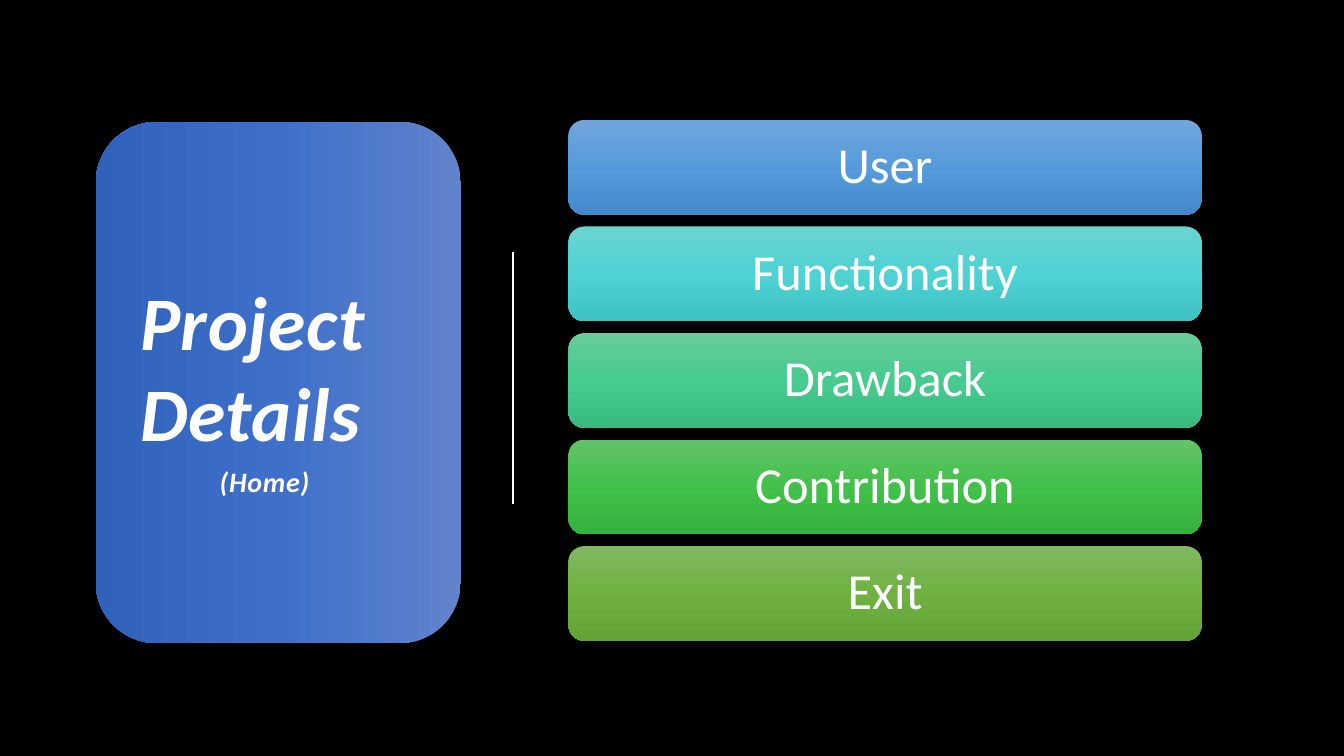
from dataclasses import dataclass

from lxml import etree
from pptx import Presentation
from pptx import util as u
from pptx.dml.color import RGBColor
from pptx.enum import shapes, text
from pptx.oxml.ns import qn


@dataclass(frozen=True)
class Theme:
    """Colours, font and type sizes of the slide."""
    font: str = "Calibri"
    background: str = "000000"
    ink: str = "FFFFFF"
    title_size: int = 54
    bar_size: int = 36
    caption_size: int = 20
    panel: tuple = ("6183CB", "3E70CA", "3062BB")
    bars: tuple = (
        ("71A6DB", "559BDB", "448ACA"),
        ("6CD3D3", "4ED2D3", "3EC2C3"),
        ("67CC9A", "47CB8E", "39BB7F"),
        ("63C368", "42C14A", "34B23D"),
        ("81B861", "6FB242", "62A336"),
    )


class Board:
    """Draws on one slide, with lengths as percentages of its size."""

    def __init__(self, deck, theme):
        """Add a title-only slide with a plain background."""
        self.deck, self.theme = deck, theme
        self.page = deck.slides.add_slide(deck.slide_layouts[5])
        fill = self.page.background.fill
        fill.solid()
        fill.fore_color.rgb = RGBColor.from_string(theme.background)

    def place(self, left, top, width, height):
        """Turn percentages into slide lengths."""
        across, down = self.deck.slide_width, self.deck.slide_height
        shares = ((left, across), (top, down), (width, across), (height, down))
        return [round(share * full / 100) for share, full in shares]

    def label(self, box, words, size, align, anchor, line_spacing=1.0, **look):
        """Put one formatted paragraph into a box and return its run."""
        frame = box.text_frame
        settings = {"word_wrap": True, "auto_size": text.MSO_AUTO_SIZE.NONE,
                    "vertical_anchor": anchor}
        for name, value in settings.items():
            setattr(frame, name, value)
        para = frame.paragraphs[0]
        para.alignment, para.line_spacing = align, line_spacing
        span = para.add_run()
        span.text = words
        look = {"name": self.theme.font, "size": u.Pt(size), **look}
        for name, value in look.items():
            setattr(span.font, name, value)
        span.font.color.rgb = RGBColor.from_string(self.theme.ink)
        return span

    def block(self, area, colours, angle):
        """Draw a rounded block with a gradient of evenly spaced colours."""
        box = self.page.shapes.add_shape(
            shapes.MSO_SHAPE.ROUNDED_RECTANGLE, *self.place(*area))
        box.shadow.inherit = False
        box.line.fill.background()
        box.fill.gradient()
        box.fill.gradient_angle = angle
        stops = box.element.spPr.find(qn("a:gradFill")).find(qn("a:gsLst"))
        for stop in list(stops):
            stops.remove(stop)
        for index, colour in enumerate(colours):
            position = index * 100000 // (len(colours) - 1)
            stop = etree.SubElement(stops, qn("a:gs"), pos=str(position))
            etree.SubElement(stop, qn("a:srgbClr"), val=colour)
        return box

    def bar(self, area, words, colours):
        """Draw a menu bar with its centred label."""
        box = self.block(area, colours, 270)
        self.label(box, words, self.theme.bar_size, text.PP_ALIGN.CENTER,
                   text.MSO_ANCHOR.MIDDLE, line_spacing=0.9)

    def heading(self, box, words, size):
        """Put a bold italic, slightly spaced heading into a box."""
        span = self.label(box, words, size, text.PP_ALIGN.LEFT,
                          text.MSO_ANCHOR.TOP, bold=True, italic=True)
        span.font.element.set("spc", "50") if hasattr(span.font, "element") \
            else span._r.get_or_add_rPr().set("spc", "50")

    def title(self, area, words):
        """Move the title placeholder to the front and fill it."""
        box = self.page.shapes.title
        box.left, box.top, box.width, box.height = self.place(*area)
        box.element.getparent().append(box.element)
        self.heading(box, words, self.theme.title_size)

    def caption(self, area, words):
        """Add a small heading in a text box."""
        box = self.page.shapes.add_textbox(*self.place(*area))
        self.heading(box, words, self.theme.caption_size)

    def divider(self, left, top, height):
        """Draw a thin vertical line."""
        x, y, _, length = self.place(left, top, 0, height)
        line = self.page.shapes.add_connector(
            shapes.MSO_CONNECTOR.STRAIGHT, x, y, x, y + length)
        line.line.width = u.Pt(1.25)
        line.line.color.rgb = RGBColor.from_string(self.theme.ink)
        etree.SubElement(line.element.spPr, qn("a:effectLst"))


def main():
    """Build and save the slide."""
    deck = Presentation()
    deck.slide_width, deck.slide_height = u.Inches(13.33), u.Inches(7.5)
    theme = Theme()
    board = Board(deck, theme)
    board.block((7.13, 16.13, 27.16, 68.93), theme.panel, 180)
    board.divider(38.18, 33.33, 33.33)
    labels = ("User", "Functionality", "Drawback", "Contribution", "Exit")
    for row, (words, colours) in enumerate(zip(labels, theme.bars)):
        board.bar((42.3, 15.87 + 14.09 * row, 47.1, 12.53), words, colours)
    board.title((9.68, 35.73, 24.98, 25.6), "Project Details")
    board.caption((15.6, 60.8, 10.28, 5.87), "(Home)")
    deck.save("out.pptx")


if __name__ == "__main__":
    main()
